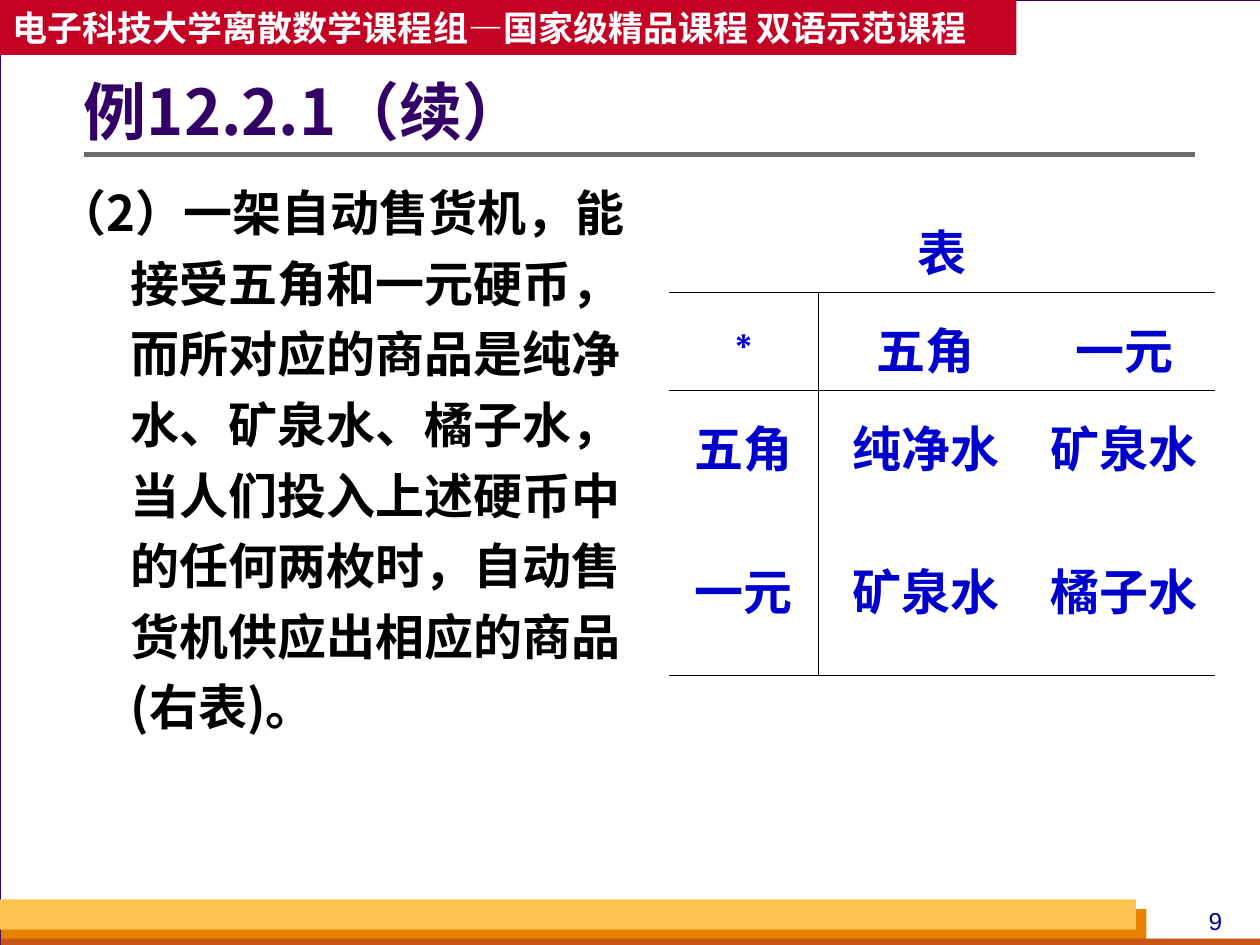
"""Build the slide for example 12.2.1: a vending machine and its table of goods."""
from lxml import etree
from pptx import Presentation
from pptx import util as u
from pptx.dml.color import RGBColor
from pptx.enum import shapes, text
from pptx.oxml.ns import qn

COLORS = {"backdrop": "D8DADA", "page": "FFFFFF", "frame": "330066", "orange": "E88000",
          "rust": "C95616", "amber": "FCC24F", "number": "000099", "rule": "6B6B6B",
          "banner": "C30224", "title": "330066", "body": "000000", "table": "0000CC",
          "grid": "000000"}
SANS = "Noto Sans CJK SC"


def rgb(name):
    return RGBColor.from_string(COLORS[name])


def write(tf, words, size, color, font=SANS, bold=True, align=text.PP_ALIGN.LEFT, spacing=1.0):
    tf.text = words
    p = tf.paragraphs[0]
    p.alignment, p.line_spacing = align, spacing
    r = p.runs[0]
    r.font.size, r.font.bold, r.font.name = u.Pt(size), bold, font
    r.font.color.rgb = rgb(color)
    etree.SubElement(r.font._element, qn("a:ea"), typeface=font)
    return p


prs = Presentation()
prs.slide_width, prs.slide_height = u.Cm(25.4), u.Cm(19.05)
s = prs.slides.add_slide(prs.slide_layouts[1])
s.background.fill.solid()
s.background.fill.fore_color.rgb = rgb("backdrop")

for color, x, y, w, h in [("page", 0, 0, 25.43, 19.05), ("orange", 0.02, 18.33, 23.09, 0.71),
                          ("rust", 0.02, 18.92, 25.4, 0.2), ("amber", 0, 18.13, 22.9, 0.61),
                          ("banner", 0, 0, 20.49, 1.11)]:
    sp = s.shapes.add_shape(shapes.MSO_SHAPE.RECTANGLE, u.Cm(x), u.Cm(y), u.Cm(w), u.Cm(h))
    sp.shadow.inherit = False
    sp.fill.solid()
    sp.fill.fore_color.rgb = rgb(color)
    if color == "page":
        sp.line.color.rgb = rgb("frame")
        sp.line.width = u.Pt(0.75)
    else:
        sp.line.fill.background()
    if color == "banner":
        sp.text_frame.word_wrap = False
        sp.text_frame.vertical_anchor = text.MSO_ANCHOR.MIDDLE
        write(sp.text_frame, "电子科技大学离散数学课程组—国家级精品课程 双语示范课程", 20, "page")

number = s.shapes.add_textbox(u.Cm(23.7), u.Cm(18.13), u.Cm(1.6), u.Cm(0.86))
number.text_frame.word_wrap = True
write(number.text_frame, "9", 14, "number", "Arial", False, text.PP_ALIGN.CENTER)

rule = s.shapes.add_connector(shapes.MSO_CONNECTOR.STRAIGHT,
                              u.Cm(1.69), u.Cm(3.12), u.Cm(24.09), u.Cm(3.12))
rule.line.color.rgb = rgb("rule")
rule.line.width = u.Pt(3)
etree.SubElement(rule._element.spPr, qn("a:effectLst"))

title, body = s.shapes.title, s.placeholders[1]
for sp, x, y, w, h in [(title, 1.69, 1.71, 22.4, 1.22), (body, 0.9, 3.32, 12.19, 14.6)]:
    sp.left, sp.top, sp.width, sp.height = u.Cm(x), u.Cm(y), u.Cm(w), u.Cm(h)
    sp.text_frame.auto_size = text.MSO_AUTO_SIZE.NONE
    s.shapes._spTree.append(sp._element)

title.fill.solid()
title.fill.fore_color.rgb = rgb("page")
title.text_frame.margin_left = 0
title.text_frame.vertical_anchor = text.MSO_ANCHOR.MIDDLE
write(title.text_frame, "例12.2.1（续）", 36, "title", spacing=0.9)

p = write(body.text_frame, "（2）一架自动售货机，能接受五角和一元硬币，而所对应的商品是纯净水、矿泉水、橘子水，"
          "当人们投入上述硬币中的任何两枚时，自动售货机供应出相应的商品(右表)。", 28, "body", spacing=1.2)
p.space_before = u.Pt(0)
pPr = p._p.get_or_add_pPr()
pPr.set("marL", str(u.Cm(1.48)))
pPr.set("indent", str(-u.Cm(1.48)))
pPr.set("hangingPunct", "0")
etree.SubElement(pPr, qn("a:buNone"))

rows = [["表", "", ""], ["∗", "五角", "一元"], ["五角", "纯净水", "矿泉水"], ["一元", "矿泉水", "橘子水"]]
frame = s.shapes.add_table(4, 3, u.Cm(13.49), u.Cm(3.92), u.Cm(11), u.Cm(9.68))
table = frame.table
table.first_row = table.horz_banding = False
for col, width in zip(table.columns, (3, 4.34, 3.66)):
    col.width = u.Cm(width)
for row, height in zip(table.rows, (1.95, 1.99, 2.87, 2.87)):
    row.height = u.Cm(height)
table.cell(0, 0).merge(table.cell(0, 2))

for i, row in enumerate(rows):
    for j, words in enumerate(row):
        cell = table.cell(i, j)
        if words:
            font = "Arial" if words == "∗" else SANS
            write(cell.text_frame, words, 28, "table", font, align=text.PP_ALIGN.CENTER, spacing=1.2)
        tcPr = cell._tc.get_or_add_tcPr()
        drawn = {"lnL": i > 0 and j == 1, "lnR": i > 0 and j == 0,
                 "lnT": i in (1, 2), "lnB": i != 2}
        for side, visible in drawn.items():
            ln = etree.SubElement(tcPr, qn("a:" + side), w=str(u.Pt(0.45)))
            if visible:
                fill = etree.SubElement(ln, qn("a:solidFill"))
                etree.SubElement(fill, qn("a:srgbClr"), val=COLORS["grid"])
            else:
                etree.SubElement(ln, qn("a:noFill"))
        cell.fill.background()

prs.save("out.pptx")
